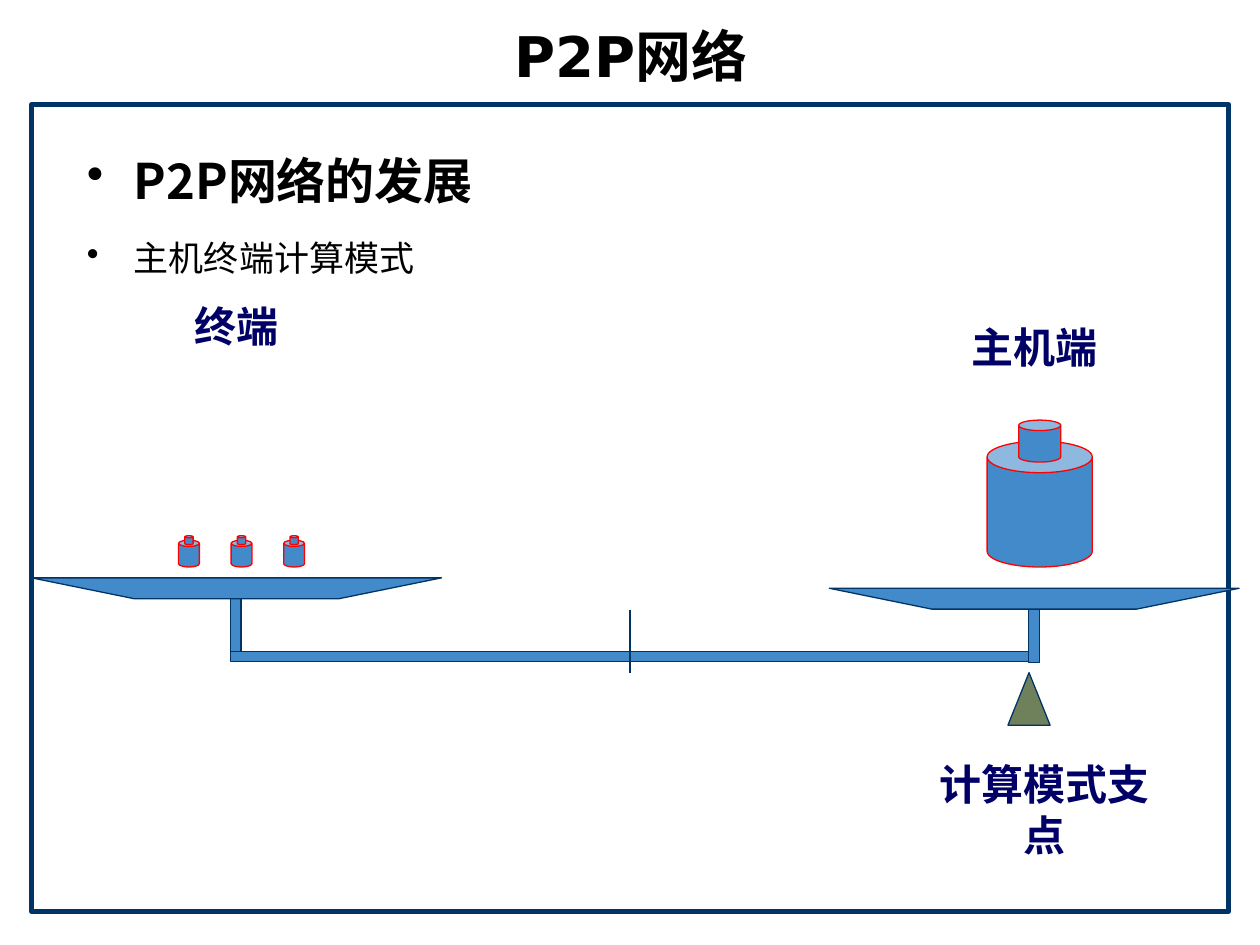
from dataclasses import dataclass

from lxml.etree import SubElement
from pptx import Presentation
from pptx.dml.color import RGBColor
from pptx.enum.shapes import MSO_CONNECTOR, MSO_SHAPE
from pptx.enum.text import MSO_ANCHOR, PP_ALIGN
from pptx.oxml.ns import qn
from pptx.util import Cm, Pt

COLORS = {
    "white": "FFFFFF",
    "black": "000000",
    "navy": "003366",
    "label": "000066",
    "blue": "438ACB",
    "red": "FF0000",
    "olive": "6E815B",
}
CJK_FONT = "Noto Sans CJK SC"


@dataclass
class Box:
    """Position and size in centimetres."""
    left: float
    top: float
    width: float
    height: float

    def lengths(self) -> tuple:
        return Cm(self.left), Cm(self.top), Cm(self.width), Cm(self.height)


@dataclass
class TextStyle:
    size: int
    font: str
    color: str = "black"
    bold: bool = True


def color(name: str) -> RGBColor:
    return RGBColor.from_string(COLORS[name])


def paint(shape, fill: str, line: str = "navy", width: float = 0.75) -> None:
    shape.shadow.inherit = False
    shape.fill.solid()
    shape.fill.fore_color.rgb = color(fill)
    shape.line.color.rgb = color(line)
    shape.line.width = Pt(width)


def add_preset(shapes, kind, box: Box, fill: str, line: str = "navy", width: float = 0.75):
    shape = shapes.add_shape(kind, *box.lengths())
    paint(shape, fill, line, width)
    return shape


def add_pan(slide, box: Box) -> None:
    right, bottom = box.left + box.width, box.top + box.height
    inset = box.width / 4
    corners = [(box.left + inset, bottom), (right - inset, bottom), (right, box.top)]
    builder = slide.shapes.build_freeform(Cm(box.left), Cm(box.top))
    builder.add_line_segments([(Cm(x), Cm(y)) for x, y in corners], close=True)
    paint(builder.convert_to_shape(), "blue")


def add_weight(slide, box: Box) -> None:
    """A large can with a knob on top, grouped."""
    group = slide.shapes.add_group_shape()
    body = Box(box.left, box.top + box.height / 7, box.width, box.height * 6 / 7)
    knob = Box(box.left + box.width * 0.3, box.top, box.width * 0.4, box.height * 2 / 7)
    for part, adjustment in ((body, 0.3), (knob, 0.25)):
        can = add_preset(group.shapes, MSO_SHAPE.CAN, part, "blue", "red")
        can.adjustments[0] = adjustment


def add_run(paragraph, text: str, style: TextStyle) -> None:
    run = paragraph.add_run()
    run.text = text
    run.font.size = Pt(style.size)
    run.font.name = style.font
    run.font.bold = style.bold
    run.font.color.rgb = color(style.color)
    SubElement(run.font._element, qn("a:ea"), typeface=CJK_FONT)


def add_centered_text(slide, box: Box, text: str, style: TextStyle, wrap: bool) -> None:
    frame = slide.shapes.add_textbox(*box.lengths()).text_frame
    frame.word_wrap = wrap
    frame.vertical_anchor = MSO_ANCHOR.MIDDLE
    paragraph = frame.paragraphs[0]
    paragraph.alignment = PP_ALIGN.CENTER
    add_run(paragraph, text, style)


def add_bullets(slide, box: Box, items: list) -> None:
    frame = slide.shapes.add_textbox(*box.lengths()).text_frame
    frame.word_wrap = True
    for index, (text, style, space_before) in enumerate(items):
        paragraph = frame.paragraphs[0] if index == 0 else frame.add_paragraph()
        paragraph.line_spacing = 1.5
        paragraph.space_before = Pt(space_before)
        properties = paragraph._p.get_or_add_pPr()
        properties.set("marL", str(Cm(0.95)))
        properties.set("indent", str(-Cm(0.95)))
        bullet_color = SubElement(properties, qn("a:buClr"))
        SubElement(bullet_color, qn("a:srgbClr"), val=COLORS["black"])
        SubElement(properties, qn("a:buChar"), char="•")
        add_run(paragraph, text, style)


def main() -> None:
    presentation = Presentation()
    presentation.slide_width, presentation.slide_height = Cm(25.4), Cm(19.05)
    slide = presentation.slides.add_slide(presentation.slide_layouts[6])

    # Frame, title and bullets
    add_preset(slide.shapes, MSO_SHAPE.RECTANGLE, Box(0.64, 2.11, 24.13, 16.26),
               "white", width=3)
    add_bullets(slide, Box(1.5, 2.31, 22.86, 15.21), [
        ("P2P网络的发展", TextStyle(28, CJK_FONT), 0),
        ("主机终端计算模式", TextStyle(20, CJK_FONT, bold=False), 4),
    ])
    add_centered_text(slide, Box(0.69, 0.33, 24.08, 1.57), "P2P网络",
                      TextStyle(32, "DejaVu Sans"), wrap=True)

    # Beam and its two posts
    for bar in (Box(4.65, 13.13, 16.09, 0.21),
                Box(20.74, 12.29, 0.21, 1.06),
                Box(4.65, 12.07, 0.21, 1.06)):
        add_preset(slide.shapes, MSO_SHAPE.RECTANGLE, bar, "blue")

    # Pans
    for left, top in ((0.64, 11.65), (16.72, 11.86)):
        add_pan(slide, Box(left, top, 8.26, 0.42))

    # Fulcrum and centre mark
    add_preset(slide.shapes, MSO_SHAPE.ISOSCELES_TRIANGLE,
               Box(20.32, 13.56, 0.85, 1.06), "olive")
    mark = slide.shapes.add_connector(MSO_CONNECTOR.STRAIGHT,
                                      Cm(12.7), Cm(12.29), Cm(12.7), Cm(13.56))
    mark.line.color.rgb = color("navy")
    mark.line.width = Pt(0.75)
    SubElement(mark._element.spPr, qn("a:effectLst"))

    # Weights: one host, three terminals
    add_weight(slide, Box(19.9, 8.47, 2.12, 2.96))
    for index in range(3):
        add_weight(slide, Box(3.6 + index * 1.06, 10.8, 0.42, 0.63))

    # Labels
    label_style = TextStyle(24, "Times New Roman", "label")
    for text, left, top in (("主机端", 18.42, 6.15),
                            ("终端", 2.33, 5.72),
                            ("计算模式支点", 18.63, 15.47)):
        add_centered_text(slide, Box(left, top, 4.87, 1.69), text, label_style, wrap=False)

    presentation.save("out.pptx")


if __name__ == "__main__":
    main()
